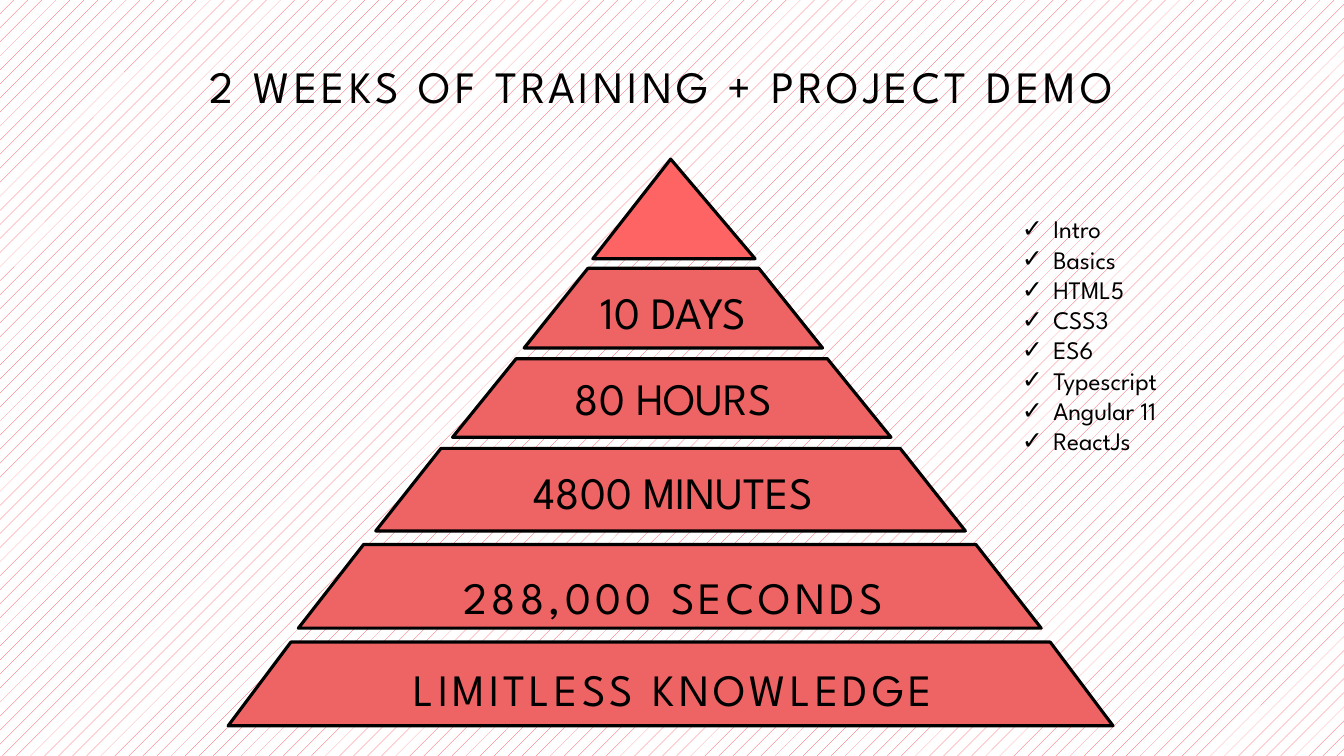
from dataclasses import dataclass

from lxml import etree
from pptx import Presentation
from pptx import util as u
from pptx.dml.color import RGBColor
from pptx.enum import dml, shapes, text
from pptx.oxml import ns

FONT = "League Spartan"
BLACK, WHITE, DOTS = "000000", "FFFFFF", "FE414D"
CORAL, BRIGHT_CORAL = "EE6464", "FF6464"
LABEL_CENTRE = 16.97
TOPICS = ["Intro", "Basics", "HTML5", "CSS3", "ES6",
          "Typescript", "Angular 11", "ReactJs"]


@dataclass
class Tier:
    """One trapezoid of the pyramid; lengths in centimetres."""
    label: str
    centre: float
    top: float
    width: float
    height: float
    slope: float
    label_top: float
    label_width: float
    spaced: bool = False


TIERS = [
    Tier("10 DAYS", 16.97, 6.76, 7.52, 2.01, 0.8, 7.04, 6.15),
    Tier("80 HOURS", 16.93, 9.04, 11.05, 1.98, 0.81, 9.22, 7.52),
    Tier("4800 MINUTES", 16.9, 11.3, 14.86, 2.08, 0.79, 11.58, 11.05),
    Tier("288,000 SECONDS", 16.88, 13.72, 18.72, 2.11, 0.78, 13.21, 24.87, True),
    Tier("LIMITLESS KNOWLEDGE", 16.9, 16.18, 22.3, 2.11, 0.75, 15.54, 24.87, True),
]


def colour(value: str) -> RGBColor:
    return RGBColor.from_string(value)


def place(item, left: float, top: float, width: float, height: float) -> None:
    item.left, item.top = u.Cm(left), u.Cm(top)
    item.width, item.height = u.Cm(width), u.Cm(height)


def set_insets(frame, left: float, top: float, right: float, bottom: float) -> None:
    frame.margin_left, frame.margin_top = u.Cm(left), u.Cm(top)
    frame.margin_right, frame.margin_bottom = u.Cm(right), u.Cm(bottom)


def write(para, words: str, *, size: float = 32, align=text.PP_ALIGN.CENTER,
          line_spacing: float = 1.0, tracking: float = 0) -> None:
    para.alignment = align
    para.line_spacing = line_spacing
    para.space_before = u.Pt(0)
    span = para.add_run()
    span.text = words
    span.font.name, span.font.size = FONT, u.Pt(size)
    span.font.color.rgb = colour(BLACK)
    if tracking:
        span.font._element.set("spc", str(round(tracking * 100)))


def add_check_mark(para, indent: float) -> None:
    props = para._p.get_or_add_pPr()
    props.set("marL", str(u.Cm(indent)))
    props.set("indent", str(-u.Cm(indent)))
    etree.SubElement(props, ns.qn("a:buChar")).set("char", "✓")


def add_block(page, kind, box: tuple, fill: str, adjustment: float) -> None:
    block = page.shapes.add_shape(kind, *(u.Cm(length) for length in box))
    block.adjustments[0] = adjustment
    block.shadow.inherit = False
    block.fill.solid()
    block.fill.fore_color.rgb = colour(fill)
    block.line.color.rgb = colour(BLACK)
    block.line.width = u.Pt(2.25)


def add_tier(page, tier: Tier) -> None:
    left = tier.centre - tier.width / 2
    add_block(page, shapes.MSO_SHAPE.TRAPEZOID,
              (left, tier.top, tier.width, tier.height), CORAL, tier.slope)

    box = page.shapes.add_textbox(0, 0, 0, 0)
    place(box, LABEL_CENTRE - tier.label_width / 2, tier.label_top,
          tier.label_width, 3.51 if tier.spaced else 1.63)
    frame = box.text_frame
    frame.word_wrap = True
    if tier.spaced:
        set_insets(frame, 0, 0, 0, 0)
        frame.vertical_anchor = text.MSO_ANCHOR.MIDDLE
        write(frame.paragraphs[0], tier.label, line_spacing=1.1, tracking=3)
    else:
        frame.auto_size = text.MSO_AUTO_SIZE.SHAPE_TO_FIT_TEXT
        write(frame.paragraphs[0], tier.label)


def add_title(page) -> None:
    title = page.shapes.title
    place(title, 0, 0.61, 33.87, 4.27)
    frame = title.text_frame
    frame.auto_size = text.MSO_AUTO_SIZE.NONE
    frame.vertical_anchor = text.MSO_ANCHOR.MIDDLE
    set_insets(frame, 0, 0, 0.5, 1.3)
    write(frame.paragraphs[0], "2 WEEKS OF TRAINING + PROJECT DEMO",
          line_spacing=1.1, tracking=3)


def add_topics(page) -> None:
    body = page.placeholders[1]
    place(body, 25.5, 5.26, 6.6, 7.19)
    frame = body.text_frame
    frame.auto_size = text.MSO_AUTO_SIZE.NONE
    frame.vertical_anchor = text.MSO_ANCHOR.TOP
    for index, topic in enumerate(TOPICS):
        para = frame.add_paragraph() if index else frame.paragraphs[0]
        write(para, topic, size=18, align=text.PP_ALIGN.LEFT)
        add_check_mark(para, 0.79)


def main() -> None:
    deck = Presentation()
    deck.slide_width, deck.slide_height = u.Cm(33.87), u.Cm(19.05)
    page = deck.slides.add_slide(deck.slide_layouts[1])

    # Dotted background
    backdrop = page.background.fill
    backdrop.patterned()
    backdrop.pattern = dml.MSO_PATTERN.PERCENT_5
    backdrop.fore_color.rgb = colour(DOTS)
    backdrop.back_color.rgb = colour(WHITE)

    # Title and topic list
    add_title(page)
    add_topics(page)

    # Pyramid
    add_block(page, shapes.MSO_SHAPE.ISOSCELES_TRIANGLE,
              (14.94, 4.01, 4.09, 2.51), BRIGHT_CORAL, 0.48)
    for tier in TIERS:
        add_tier(page, tier)

    deck.save("out.pptx")


if __name__ == "__main__":
    main()
